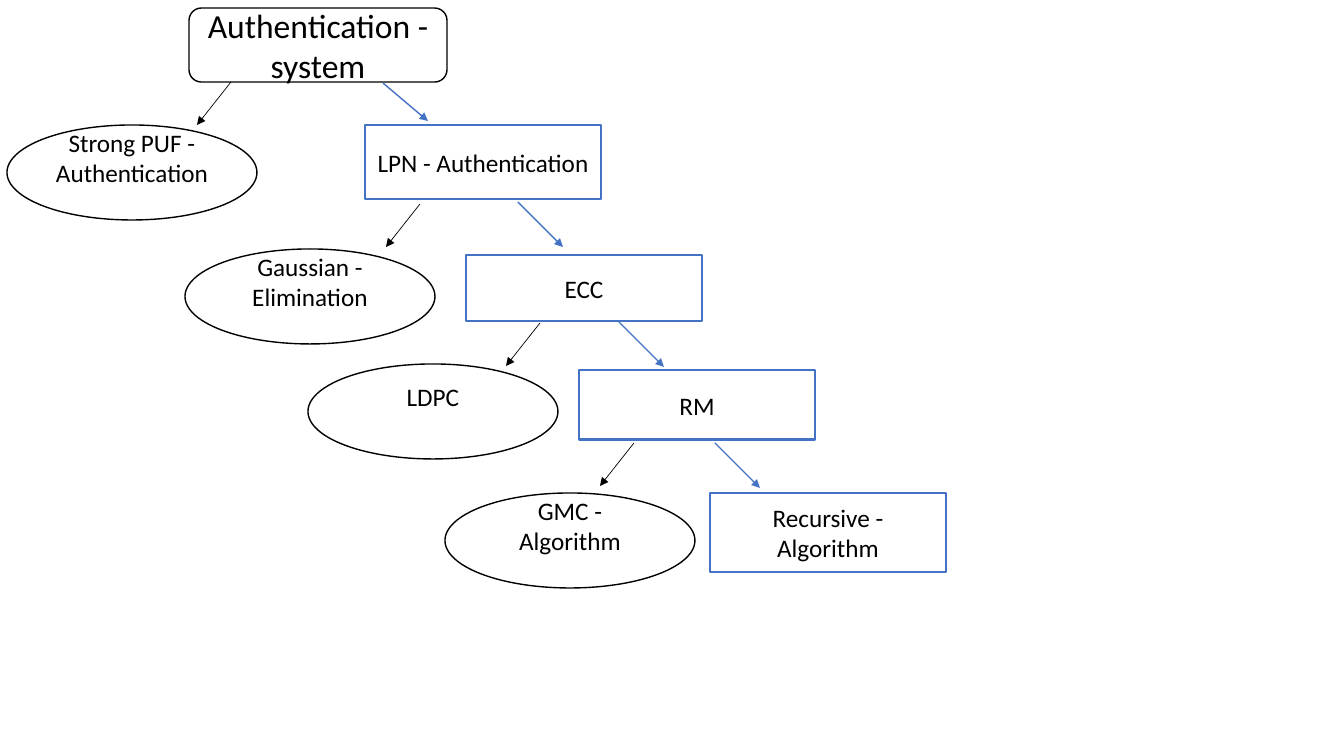
from dataclasses import dataclass

from lxml import etree
from pptx import Presentation, util as u
from pptx.dml.color import RGBColor
from pptx.enum import shapes, text
from pptx.oxml import ns

PIXEL = u.Inches(1) / 100.8
FONT = "Calibri"
BLACK, BLUE, WHITE = "000000", "4472C4", "FFFFFF"


@dataclass(frozen=True)
class Style:
    preset: shapes.MSO_SHAPE
    color: str
    line_width: float
    font_size: int = 18
    bottom_inset: int = 5


@dataclass(frozen=True)
class Node:
    label: str
    style: Style
    left: int
    top: int
    width: int
    height: int


@dataclass(frozen=True)
class Arrow:
    start: tuple[int, int]
    step: tuple[int, int]
    color: str
    line_width: float


def px(pixels: int) -> u.Emu:
    return u.Emu(round(pixels * PIXEL))


def rgb(color: str) -> RGBColor:
    return RGBColor.from_string(color)


def draw_node(slide, node: Node) -> None:
    style = node.style
    shape = slide.shapes.add_shape(
        style.preset, px(node.left), px(node.top), px(node.width), px(node.height))
    shape.shadow.inherit = False
    shape.fill.solid()
    shape.fill.fore_color.rgb = rgb(WHITE)
    shape.line.color.rgb = rgb(style.color)
    shape.line.width = u.Pt(style.line_width)

    frame = shape.text_frame
    frame.word_wrap = True
    frame.vertical_anchor = text.MSO_ANCHOR.MIDDLE
    frame.margin_bottom = px(style.bottom_inset)
    frame.text = node.label
    paragraph = frame.paragraphs[0]
    paragraph.alignment = text.PP_ALIGN.CENTER
    paragraph.font.name = FONT
    paragraph.font.size = u.Pt(style.font_size)
    paragraph.font.color.rgb = rgb(BLACK)


def draw_arrow(slide, arrow: Arrow) -> None:
    (x, y), (dx, dy) = arrow.start, arrow.step
    connector = slide.shapes.add_connector(
        shapes.MSO_CONNECTOR.STRAIGHT, px(x), px(y), px(x + dx), px(y + dy))
    connector.line.color.rgb = rgb(arrow.color)
    connector.line.width = u.Pt(arrow.line_width)
    line = connector.line._get_or_add_ln()
    etree.SubElement(line, ns.qn("a:tailEnd"), type="triangle")
    etree.SubElement(connector._element.spPr, ns.qn("a:effectLst"))


presentation = Presentation()
presentation.slide_width, presentation.slide_height = px(1344), px(756)
slide = presentation.slides.add_slide(presentation.slide_layouts[6])

# Root, rejected options (ellipses) and chosen options (boxes)
ROOT = Style(shapes.MSO_SHAPE.ROUNDED_RECTANGLE, BLACK, 1, font_size=24)
REJECTED = Style(shapes.MSO_SHAPE.OVAL, BLACK, 1, bottom_inset=35)
CHOSEN = Style(shapes.MSO_SHAPE.RECTANGLE, BLUE, 2)

nodes = [Node("Authentication - system", ROOT, 189, 8, 258, 74)]
nodes += [Node(label, REJECTED, left, top, 250, 95) for label, left, top in (
    ("Strong PUF - Authentication", 7, 125),
    ("Gaussian - Elimination", 185, 249),
    ("LDPC", 308, 364),
    ("GMC - Algorithm", 445, 493),
)]
nodes += [Node(label, CHOSEN, left, top, 236, height) for label, left, top, height in (
    ("LPN - Authentication", 365, 125, 74),
    ("ECC", 466, 255, 66),
    ("RM", 579, 370, 70),
    ("Recursive - Algorithm", 710, 493, 79),
)]
for node in nodes:
    draw_node(slide, node)

# Branches of each level: to the rejected option, then to the chosen one
for rejected_start, chosen_start, chosen_step in (
    ((231, 82), (383, 83), (45, 38)),
    ((420, 204), (518, 202), (45, 45)),
    ((540, 323), (619, 322), (45, 45)),
    ((634, 443), (715, 443), (45, 45)),
):
    draw_arrow(slide, Arrow(rejected_start, (-34, 43), BLACK, 0.5))
    draw_arrow(slide, Arrow(chosen_start, chosen_step, BLUE, 1))

presentation.save("out.pptx")
